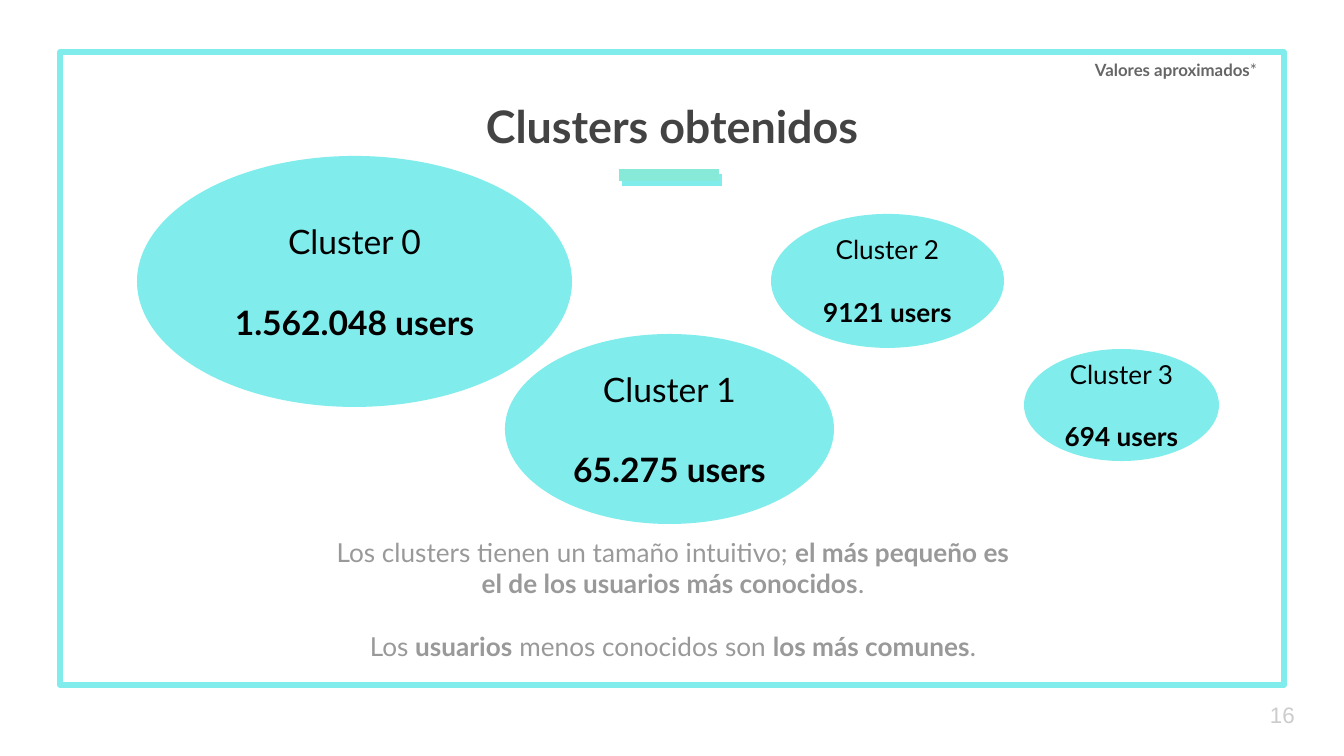
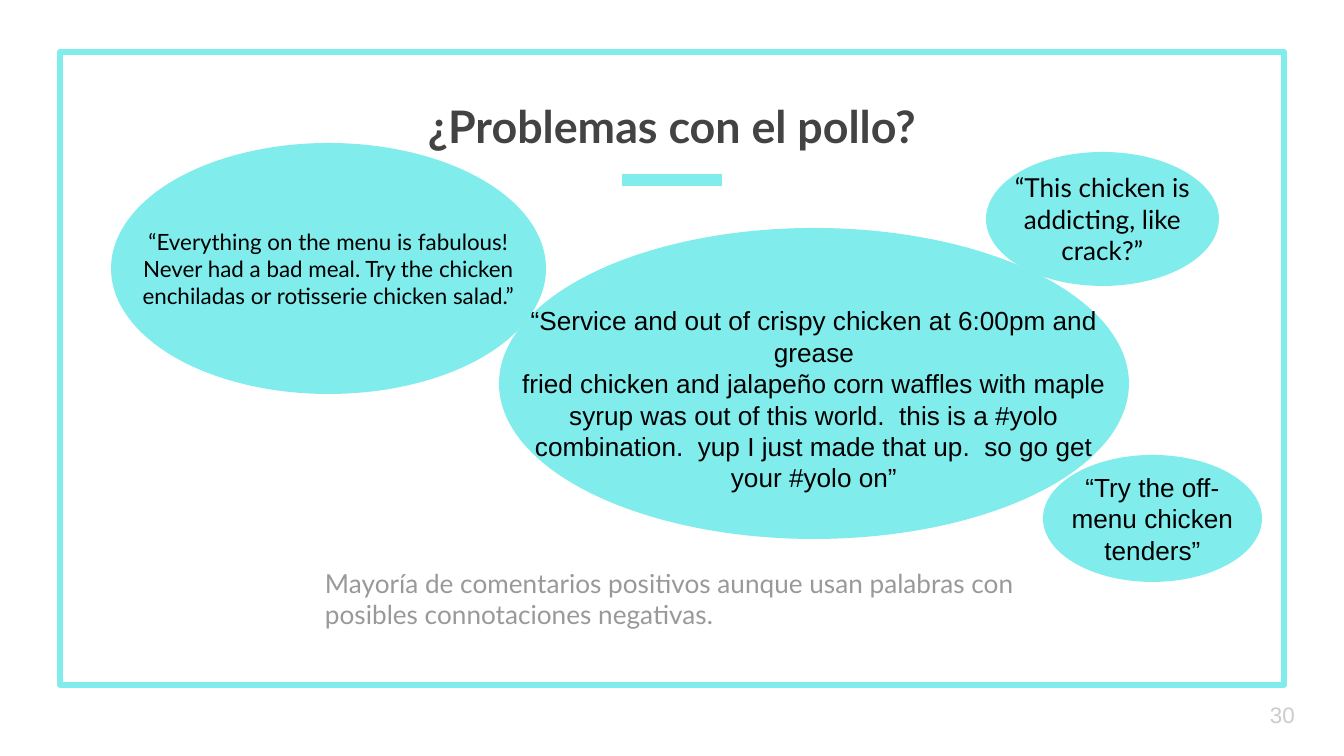
import pptx
import pptx.dml.color
import pptx.enum.shapes
import pptx.enum.text
import pptx.oxml
import pptx.util
import lxml.etree

PX = 914400 / 134.4
MARGIN = 13
AQUA, MINT, BLACK, WHITE = "81ECEC", "87EAD9", "000000", "FFFFFF"
TITLE_GRAY, NOTE_GRAY, BODY_GRAY, PAGE_GRAY = "434343", "666666", "999999", "CCCCCC"
SHAPES = pptx.enum.shapes.MSO_SHAPE
ANCHOR = pptx.enum.text.MSO_ANCHOR
LEFT, CENTER = pptx.enum.text.PP_ALIGN.LEFT, pptx.enum.text.PP_ALIGN.CENTER
DRAWING_NS = "http://schemas.openxmlformats.org/drawingml/2006/main"


def px(*lengths):
    return [round(length * PX) for length in lengths]


def write(box, paras, size, color, font="Lato", align=LEFT, anchor=ANCHOR.TOP,
          gap=0, margin=MARGIN, wrap=True):
    """Fill a box; ** toggles bold, a new line is a line break, gap is in points."""
    frame = box.text_frame
    frame.word_wrap = wrap
    frame.auto_size = pptx.enum.text.MSO_AUTO_SIZE.NONE
    frame.vertical_anchor = anchor
    inset = px(margin)[0]
    frame.margin_left = frame.margin_right = inset
    frame.margin_top = frame.margin_bottom = inset
    for index, text in enumerate(paras):
        para = frame.add_paragraph() if index else frame.paragraphs[0]
        if box.is_placeholder:
            settings = para._p.get_or_add_pPr()
            settings.set("marL", "0")
            settings.set("indent", "0")
            lxml.etree.SubElement(settings, f"{{{DRAWING_NS}}}buNone")
        for part, words in enumerate(text.split("**")):
            for row, line in enumerate(words.splitlines()):
                if row:
                    para.add_line_break()
                span = para.add_run()
                span.text = line
                span.font.bold = part % 2 == 1
        para.alignment = align
        para.space_before = pptx.util.Pt(gap if index else 0)
        para.font.size = pptx.util.Pt(size)
        para.font.name = font
        para.font.color.rgb = pptx.dml.color.RGBColor.from_string(color)


SERVICE_QUOTE = [
    """“Service and out of crispy chicken at 6:00pm and
grease""",
    """fried chicken and jalapeño corn waffles with maple
syrup was out of this world.  this is a #yolo
combination.  yup I just made that up.  so go get
your #yolo on”"""]
MENU_QUOTE = """“Everything on the menu is fabulous!
Never had a bad meal. Try the chicken
enchiladas or rotisserie chicken salad.”"""
ADDICTING_QUOTE = """“This chicken is
addicting, like
crack?”"""
TENDERS_QUOTE = """“Try the off-
menu chicken
tenders”"""

# Each bubble: bounds, paragraphs, text size, font, gap between paragraphs, top inset
slides = [
    {
        "title": "Clusters obtenidos",
        "number": "16",
        "body": ["Los clusters tienen un tamaño intuitivo; **el más pequeño es "
                 "el de los usuarios más conocidos**.",
                 "Los **usuarios** menos conocidos son **los más comunes**."],
        "body_align": CENTER,
        "body_top": 523,
        "accents": [(622, 180, AQUA), (619, 175, MINT)],
        "note": "Valores aproximados*",
        "bubbles": [
            ((137, 156, 435, 251), ["Cluster 0", "**1.562.048 users**"], 18, "Lato", 21.6, 0),
            ((505, 334, 329, 190), ["Cluster 1", "**65.275 users**"], 18, "Lato", 21.6, 0),
            ((771, 214, 233, 134), ["Cluster 2", "**9121 users**"], 14, "Lato", 16.8, 0),
            ((1024, 349, 195, 112), ["Cluster 3", "**694 users**"], 14, "Lato", 16.8, 0),
        ],
    },
    {
        "title": "¿Problemas con el pollo?",
        "number": "30",
        "body": ["Mayoría de comentarios positivos aunque usan palabras con "
                 "posibles connotaciones negativas."],
        "body_align": LEFT,
        "body_top": 554,
        "accents": [(622, 180, AQUA)],
        "note": None,
        "bubbles": [
            ((111, 143, 435, 251), [MENU_QUOTE], 12, "Lato", 0, 0),
            ((499, 228, 630, 311), SERVICE_QUOTE, 14, "Arial", 0, 31),
            ((986, 152, 233, 134), [ADDICTING_QUOTE], 14, "Lato", 0, 0),
            ((1043, 455, 219, 127), [TENDERS_QUOTE], 14, "Arial", 0, 0),
        ],
    },
]

deck = pptx.Presentation()
deck.slide_width, deck.slide_height = px(1344, 756)
aqua = pptx.dml.color.RGBColor.from_string(AQUA)

for content in slides:
    page = deck.slides.add_slide(deck.slide_layouts[1])
    page.background.fill.solid()
    page.background.fill.fore_color.rgb = pptx.dml.color.RGBColor.from_string(WHITE)

    border = page.shapes.add_shape(SHAPES.RECTANGLE, *px(60, 52, 1224, 633))
    border.shadow.inherit = False
    border.fill.background()
    border.line.color.rgb = aqua
    border.line.width = pptx.util.Pt(3)

    title, body = page.placeholders
    title.left, title.top, title.width, title.height = px(0, 32, 1344, 134)
    write(title, [f"**{content['title']}**"], 24, TITLE_GRAY, align=CENTER,
          anchor=ANCHOR.BOTTOM)
    body.left, body.top, body.width, body.height = px(312, content["body_top"], 722, 118)
    write(body, content["body"], 14, BODY_GRAY, align=content["body_align"], gap=16.8)

    for left, y, color in content["accents"]:
        accent = page.shapes.add_connector(
            pptx.enum.shapes.MSO_CONNECTOR.STRAIGHT, *px(left, y, left + 100, y))
        accent.line.color.rgb = pptx.dml.color.RGBColor.from_string(color)
        accent.line.width = pptx.util.Pt(6)
        lxml.etree.SubElement(accent._element.spPr, f"{{{DRAWING_NS}}}effectLst")

    for bounds, paras, size, font, gap, top_inset in content["bubbles"]:
        bubble = page.shapes.add_shape(SHAPES.OVAL, *px(*bounds))
        bubble.shadow.inherit = False
        bubble.fill.solid()
        bubble.fill.fore_color.rgb = aqua
        bubble.line.fill.background()
        write(bubble, paras, size, BLACK, font, CENTER, ANCHOR.MIDDLE, gap, 0, False)
        bubble.text_frame.margin_top = px(top_inset)[0]

    if content["note"]:
        note = page.shapes.add_textbox(*px(1082, 47, 207, 69))
        write(note, [f"**{content['note']}**"], 9, NOTE_GRAY)

    number = page.shapes.add_textbox(*px(1257, 686, 80, 58))
    write(number, [content["number"]], 12, PAGE_GRAY, "Arial", anchor=ANCHOR.MIDDLE)

deck.save("out.pptx")
